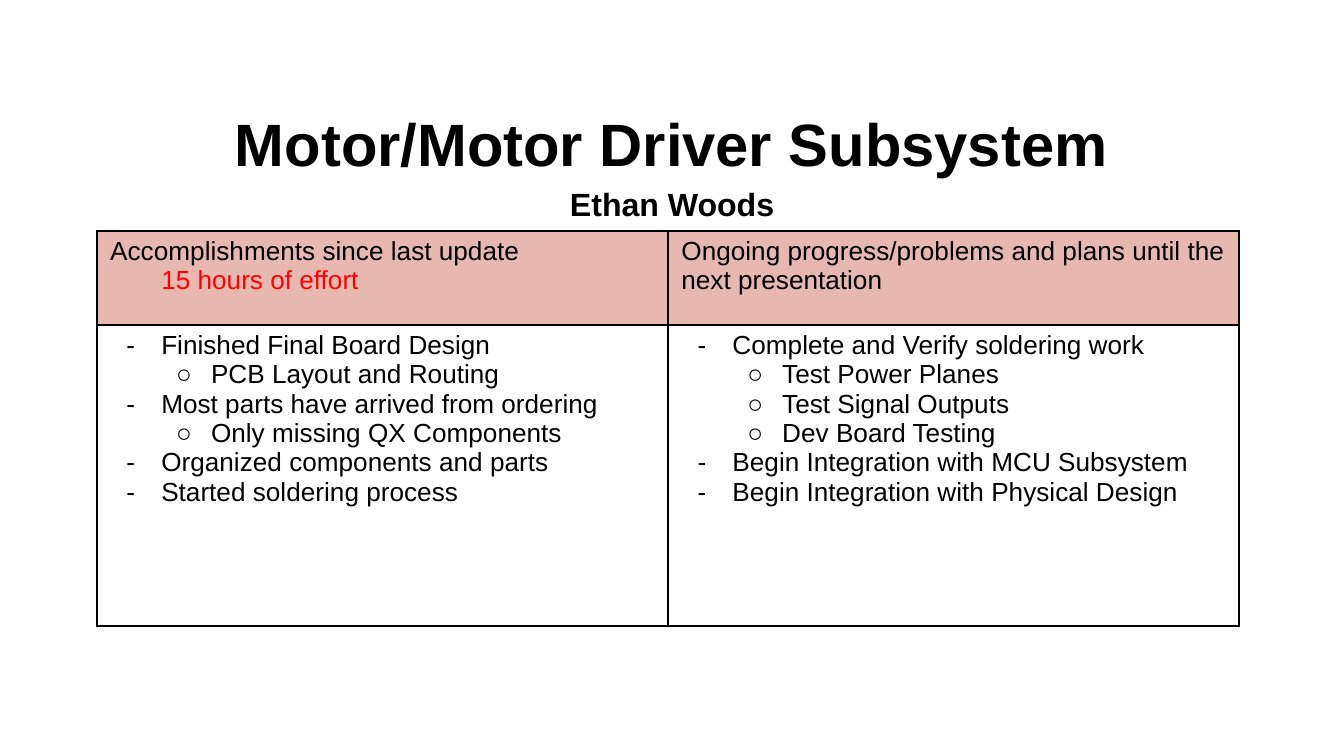
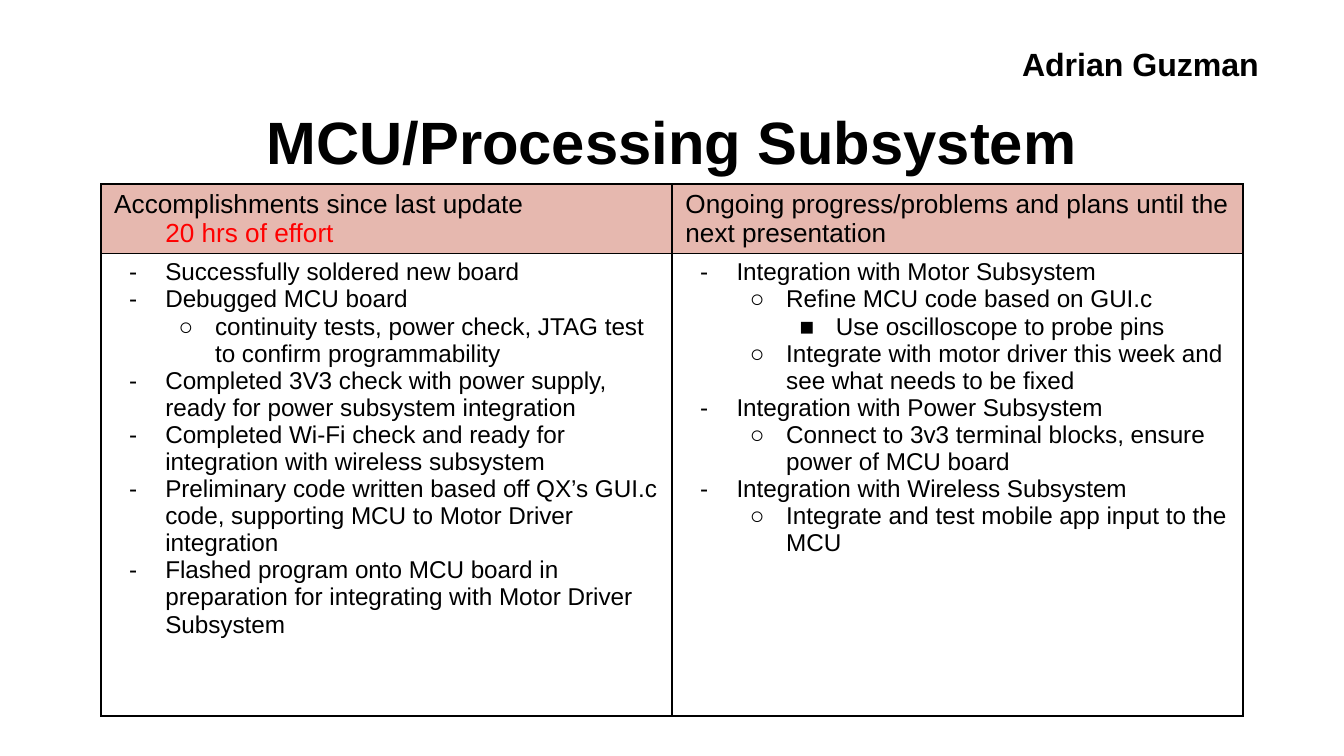
from lxml import etree
from pptx import Presentation
from pptx import util as u
from pptx.dml.color import RGBColor
from pptx.enum import text
from pptx.oxml.ns import qn

COLORS = {"ink": "000000", "effort": "FF0000", "header": "E6B8AF"}
FONT = "Arial"
SLIDE_WIDTH = u.Inches(10)
SLIDE_HEIGHT = SLIDE_WIDTH * 9 // 16
TITLE_SIZE, NAME_SIZE, HEADER_SIZE = 32, 17.2, 14
COLUMN_WIDTH = 4.25
LEVEL_STEP = 0.37
FIRST_INDENT = 0.38
BULLETS = "-○■"
PLANS_HEADING = "Ongoing progress/problems and plans until the next presentation"

# Each list entry is (level, wording).
MOTOR_DONE = [
    (0, "Finished Final Board Design"),
    (1, "PCB Layout and Routing"),
    (0, "Most parts have arrived from ordering"),
    (1, "Only missing QX Components"),
    (0, "Organized components and parts"),
    (0, "Started soldering process"),
]
MOTOR_PLANS = [
    (0, "Complete and Verify soldering work"),
    (1, "Test Power Planes"),
    (1, "Test Signal Outputs"),
    (1, "Dev Board Testing"),
    (0, "Begin Integration with MCU Subsystem"),
    (0, "Begin Integration with Physical Design"),
]
MCU_DONE = [
    (0, "Successfully soldered new board"),
    (0, "Debugged MCU board"),
    (1, "continuity tests, power check, JTAG test to confirm programmability"),
    (0, "Completed 3V3 check with power supply, ready for power subsystem integration"),
    (0, "Completed Wi-Fi check and ready for integration with wireless subsystem"),
    (0, "Preliminary code written based off QX’s GUI.c code, "
        "supporting MCU to Motor Driver integration"),
    (0, "Flashed program onto MCU board in preparation for integrating "
        "with Motor Driver Subsystem"),
]
MCU_PLANS = [
    (0, "Integration with Motor Subsystem"),
    (1, "Refine MCU code based on GUI.c"),
    (2, "Use oscilloscope to probe pins"),
    (1, "Integrate with motor driver this week and see what needs to be fixed"),
    (0, "Integration with Power Subsystem"),
    (1, "Connect to 3v3 terminal blocks, ensure power of MCU board"),
    (0, "Integration with Wireless Subsystem"),
    (1, "Integrate and test mobile app input to the MCU"),
]


def apply(target, **values):
    for name, value in values.items():
        setattr(target, name, value)


def add_run(paragraph, wording, size, bold=False, color="ink"):
    run = paragraph.add_run()
    run.text = wording
    apply(run.font, name=FONT, size=u.Pt(size), bold=bold)
    run.font.color.rgb = RGBColor.from_string(COLORS[color])


def next_paragraph(frame):
    """Return the first paragraph while it is empty, else a new one."""
    first = frame.paragraphs[0]
    return frame.add_paragraph() if first.runs else first


def set_margins(frame, vertical):
    apply(frame, word_wrap=True, auto_size=text.MSO_AUTO_SIZE.NONE,
          margin_left=u.Inches(0.1), margin_right=u.Inches(0.1),
          margin_top=u.Inches(vertical), margin_bottom=u.Inches(vertical))


def add_heading_line(frame, wording, size):
    line = next_paragraph(frame)
    apply(line, alignment=text.PP_ALIGN.CENTER, line_spacing=1.15,
          space_before=u.Pt(0))
    add_run(line, wording, size, bold=True)


def add_title(slide, top, wording, presenter=None):
    title = slide.shapes.title
    apply(title, left=u.Inches(0.5), top=u.Inches(top),
          width=u.Inches(9), height=u.Inches(0.66))
    frame = title.text_frame
    set_margins(frame, 0.05)
    frame.vertical_anchor = text.MSO_ANCHOR.MIDDLE
    add_heading_line(frame, wording, TITLE_SIZE)
    if presenter:
        add_heading_line(frame, presenter, NAME_SIZE)


def add_presenter(slide, presenter, left, top, width, height):
    box = slide.shapes.add_textbox(*map(u.Inches, (left, top, width, height)))
    set_margins(box.text_frame, 0.1)
    add_heading_line(box.text_frame, presenter, NAME_SIZE)


def style_cell(cell, fill=None):
    apply(cell, margin_left=u.Inches(0.1), margin_right=u.Inches(0.1),
          margin_top=u.Inches(0.04), margin_bottom=u.Inches(0.04))
    properties = cell._tc.get_or_add_tcPr()
    for side in ("lnL", "lnR", "lnT", "lnB"):
        border = etree.SubElement(properties, qn(f"a:{side}"), w=str(u.Pt(1)))
        solid = etree.SubElement(border, qn("a:solidFill"))
        etree.SubElement(solid, qn("a:srgbClr"), val=COLORS["ink"])
    if fill:
        cell.fill.solid()
        cell.fill.fore_color.rgb = RGBColor.from_string(COLORS[fill])
    else:
        cell.fill.background()


def indent(paragraph, left, hanging=0):
    properties = paragraph._p.get_or_add_pPr()
    properties.set("marL", str(u.Inches(left)))
    properties.set("indent", str(-u.Inches(hanging)))
    return properties


def fill_list(cell, entries, size, hanging):
    for level, wording in entries:
        item = next_paragraph(cell.text_frame)
        item.level = level
        properties = indent(item, FIRST_INDENT + level * LEVEL_STEP, hanging)
        color = etree.SubElement(properties, qn("a:buClr"))
        etree.SubElement(color, qn("a:srgbClr"), val=COLORS["ink"])
        etree.SubElement(properties, qn("a:buFont"), typeface=FONT)
        etree.SubElement(properties, qn("a:buChar"), char=BULLETS[level])
        add_run(item, wording, size)


def add_status_table(slide, left, top, row_heights, effort, lists, size, hanging):
    """Place the accomplishments and plans side by side under their headings."""
    table = slide.shapes.add_table(
        2, 2, u.Inches(left), u.Inches(top),
        u.Inches(2 * COLUMN_WIDTH), u.Inches(sum(row_heights))).table
    apply(table, first_row=False, horz_banding=False)
    for row, height in zip(table.rows, row_heights):
        row.height = u.Inches(height)
    for column, entries in enumerate(lists):
        table.columns[column].width = u.Inches(COLUMN_WIDTH)
        style_cell(table.cell(0, column), "header")
        style_cell(table.cell(1, column))
        fill_list(table.cell(1, column), entries, size, hanging)

    done, plans = (table.cell(0, column).text_frame for column in (0, 1))
    add_run(done.paragraphs[0], "Accomplishments since last update", HEADER_SIZE)
    effort_line = done.add_paragraph()
    indent(effort_line, FIRST_INDENT)
    add_run(effort_line, effort, HEADER_SIZE, color="effort")
    add_run(plans.paragraphs[0], PLANS_HEADING, HEADER_SIZE)


def add_motor_slide(deck, layout):
    slide = deck.slides.add_slide(layout)
    add_title(slide, 0.86, "Motor/Motor Driver Subsystem", "Ethan Woods")
    add_status_table(slide, 0.72, 1.72, (0.7, 2.24), "15 hours of effort",
                     (MOTOR_DONE, MOTOR_PLANS), size=14, hanging=0.26)


def add_mcu_slide(deck, layout):
    slide = deck.slides.add_slide(layout)
    add_status_table(slide, 0.75, 1.37, (0.49, 3.44), "20 hrs of effort",
                     (MCU_DONE, MCU_PLANS), size=13, hanging=0.27)
    add_presenter(slide, "Adrian Guzman", 7.47, 0.19, 2.03, 0.49)
    add_title(slide, 0.68, "MCU/Processing Subsystem")


def main():
    deck = Presentation()
    apply(deck, slide_width=SLIDE_WIDTH, slide_height=SLIDE_HEIGHT)
    title_only = deck.slide_layouts[5]
    add_motor_slide(deck, title_only)
    add_mcu_slide(deck, title_only)
    deck.save("out.pptx")


if __name__ == "__main__":
    main()
